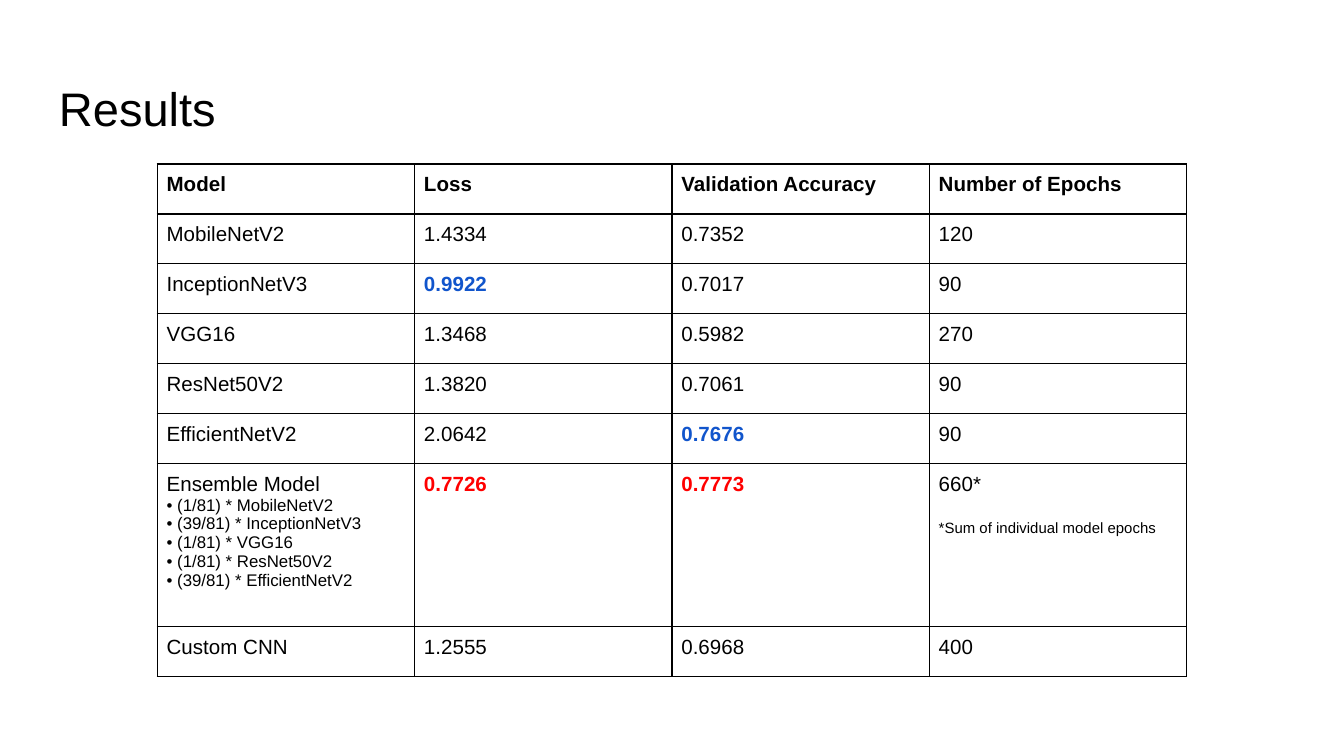
import lxml.etree
import pptx
import pptx.dml.color
import pptx.enum.text
import pptx.oxml.ns
import pptx.util
from pptx.util import Inches

BLACK = pptx.dml.color.RGBColor(0x00, 0x00, 0x00)
BLUE = pptx.dml.color.RGBColor(0x11, 0x55, 0xCC)
RED = pptx.dml.color.RGBColor(0xFF, 0x00, 0x00)
FONT = "Arial"
BODY_SIZE = 11

ROWS = [
    ["Model", "Loss", "Validation Accuracy", "Number of Epochs"],
    ["MobileNetV2", "1.4334", "0.7352", "120"],
    ["InceptionNetV3", "0.9922", "0.7017", "90"],
    ["VGG16", "1.3468", "0.5982", "270"],
    ["ResNet50V2", "1.3820", "0.7061", "90"],
    ["EfficientNetV2", "2.0642", "0.7676", "90"],
    ["Ensemble Model", "0.7726", "0.7773", "660*"],
    ["Custom CNN", "1.2555", "0.6968", "400"],
]
ENSEMBLE_ROW = 6
ENSEMBLE_WEIGHTS = [
    "• (1/81) * MobileNetV2",
    "• (39/81) * InceptionNetV3",
    "• (1/81) * VGG16",
    "• (1/81) * ResNet50V2",
    "• (39/81) * EfficientNetV2",
]
HIGHLIGHTS = {(2, 1): BLUE, (5, 2): BLUE, (6, 1): RED, (6, 2): RED}
COLUMN_WIDTH = Inches(7.66) // len(ROWS[0])
ROW_HEIGHT = Inches(2.23) // ENSEMBLE_ROW
ENSEMBLE_HEIGHT = Inches(1.21)


def write(paragraph, text, size=BODY_SIZE, color=BLACK, bold=False):
    paragraph.text = text
    font = paragraph.font
    font.name, font.size, font.bold = FONT, pptx.util.Pt(size), bold
    font.color.rgb = color


def add_borders(cell):
    """Draw a thin black line on all four sides of the cell."""
    properties = cell._tc.get_or_add_tcPr()
    for index, side in enumerate(("a:lnL", "a:lnR", "a:lnT", "a:lnB")):
        line = lxml.etree.Element(
            pptx.oxml.ns.qn(side), w=str(pptx.util.Pt(0.75)))
        fill = lxml.etree.SubElement(line, pptx.oxml.ns.qn("a:solidFill"))
        lxml.etree.SubElement(
            fill, pptx.oxml.ns.qn("a:srgbClr"), val=str(BLACK))
        properties.insert(index, line)


def format_cell(cell):
    cell.margin_left = cell.margin_right = Inches(0.07)
    cell.margin_top = cell.margin_bottom = Inches(0.07)
    cell.fill.background()
    add_borders(cell)


def add_title(slide, text):
    shape = slide.shapes.add_textbox(
        Inches(0.34), Inches(0.49), Inches(9.32), Inches(0.63))
    frame = shape.text_frame
    frame.word_wrap = True
    frame.vertical_anchor = pptx.enum.text.MSO_ANCHOR.MIDDLE
    frame.margin_left = frame.margin_right = Inches(0.1)
    frame.margin_top = frame.margin_bottom = Inches(0.1)
    write(frame.paragraphs[0], text, size=25.2)


def add_results_table(slide):
    row_count, column_count = len(ROWS), len(ROWS[0])
    table = slide.shapes.add_table(
        row_count, column_count, Inches(1.17), Inches(1.22),
        COLUMN_WIDTH * column_count,
        ROW_HEIGHT * (row_count - 1) + ENSEMBLE_HEIGHT).table
    table.horz_banding = False
    for column in table.columns:
        column.width = COLUMN_WIDTH
    for row_index, values in enumerate(ROWS):
        is_ensemble = row_index == ENSEMBLE_ROW
        table.rows[row_index].height = (
            ENSEMBLE_HEIGHT if is_ensemble else ROW_HEIGHT)
        for column_index, value in enumerate(values):
            cell = table.cell(row_index, column_index)
            format_cell(cell)
            highlight = HIGHLIGHTS.get((row_index, column_index))
            write(cell.text_frame.paragraphs[0], value,
                  color=highlight or BLACK,
                  bold=row_index == 0 or highlight is not None)
    return table


def add_ensemble_details(table):
    """Add the model weights and the epoch footnote to the ensemble row."""
    weights_frame = table.cell(ENSEMBLE_ROW, 0).text_frame
    for weight in ENSEMBLE_WEIGHTS:
        write(weights_frame.add_paragraph(), weight, size=9)
    footnote = table.cell(ENSEMBLE_ROW, 3).text_frame.add_paragraph()
    write(footnote, "*Sum of individual model epochs", size=8)
    footnote.space_before = pptx.util.Pt(12.6)


def main():
    presentation = pptx.Presentation()
    presentation.slide_width = Inches(10)
    presentation.slide_height = Inches(10) * 9 // 16
    slide = presentation.slides.add_slide(presentation.slide_layouts[6])
    add_title(slide, "Results")
    table = add_results_table(slide)
    add_ensemble_details(table)
    presentation.save("out.pptx")


if __name__ == "__main__":
    main()
